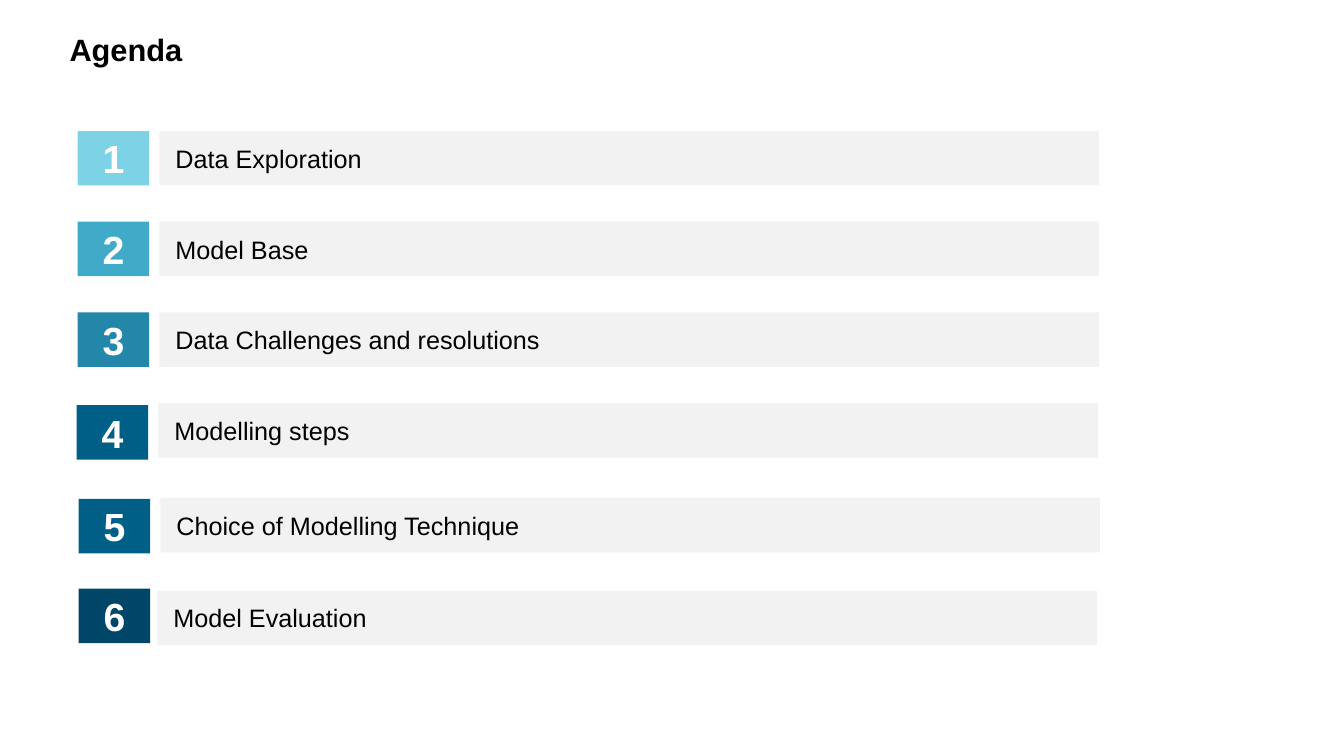
"""Build the agenda slide: a title and six numbered topic bars."""
from pptx import Presentation
from pptx.dml.color import RGBColor
from pptx.enum.shapes import MSO_SHAPE
from pptx.enum.text import MSO_ANCHOR, PP_ALIGN
from pptx.util import Inches, Pt

RECT = MSO_SHAPE.RECTANGLE
TOP, MIDDLE = MSO_ANCHOR.TOP, MSO_ANCHOR.MIDDLE
LEFT, CENTER = PP_ALIGN.LEFT, PP_ALIGN.CENTER

COLORS = {
    "text": "000000", "number": "FFFFFF", "bar": "F2F2F2",
    "aqua": "7DD2E6", "sky": "41AAC8", "teal": "2387AA",
    "blue": "005F87", "navy": "004669",
}
FONT = "Arial"
TITLE = "Agenda"
# topic, number colour, (number left, top), (bar left, top)
TOPICS = [
    ("Data Exploration", "aqua", (0.77, 1.3), (1.58, 1.3)),
    ("Model Base", "sky", (0.77, 2.2), (1.58, 2.2)),
    ("Data Challenges and resolutions", "teal", (0.77, 3.1), (1.58, 3.1)),
    ("Modelling steps", "blue", (0.76, 4.02), (1.57, 4.0)),
    ("Choice of Modelling Technique", "blue", (0.78, 4.95), (1.59, 4.94)),
    ("Model Evaluation", "navy", (0.78, 5.84), (1.56, 5.86)),
]
NUMBER_W, BAR_W, ROW_H = 0.71, 9.32, 0.54
ROW_INSETS = (0.16, 0.08, 0.16, 0.08)
TITLE_INSETS = (0.69, 0.51, 2.32, 0.26)


def write(sp, text, size, color="text", bold=False, align=LEFT,
          anchor=MIDDLE, insets=ROW_INSETS):
    tf = sp.text_frame
    tf.word_wrap = True
    tf.vertical_anchor = anchor
    (tf.margin_left, tf.margin_top,
     tf.margin_right, tf.margin_bottom) = map(Inches, insets)
    p = tf.paragraphs[0]
    p.alignment = align
    r = p.add_run()
    r.text = text
    r.font.name = FONT
    r.font.size = Pt(size)
    r.font.bold = bold
    r.font.color.rgb = RGBColor.from_string(COLORS[color])


def add_block(s, pos, width, fill):
    sp = s.shapes.add_shape(RECT, *map(Inches, (*pos, width, ROW_H)))
    sp.shadow.inherit = False
    sp.fill.solid()
    sp.fill.fore_color.rgb = RGBColor.from_string(COLORS[fill])
    sp.line.fill.background()
    return sp


prs = Presentation()
prs.slide_width, prs.slide_height = Inches(13.33), Inches(7.5)
s = prs.slides.add_slide(prs.slide_layouts[6])

title = s.shapes.add_textbox(0, 0, prs.slide_width, Inches(1.57))
write(title, TITLE, 22, bold=True, anchor=TOP, insets=TITLE_INSETS)

for number, (topic, fill, number_pos, bar_pos) in enumerate(TOPICS, 1):
    write(add_block(s, number_pos, NUMBER_W, fill), str(number), 28,
          color="number", bold=True, align=CENTER)
    write(add_block(s, bar_pos, BAR_W, "bar"), topic, 18)

prs.save("out.pptx")
